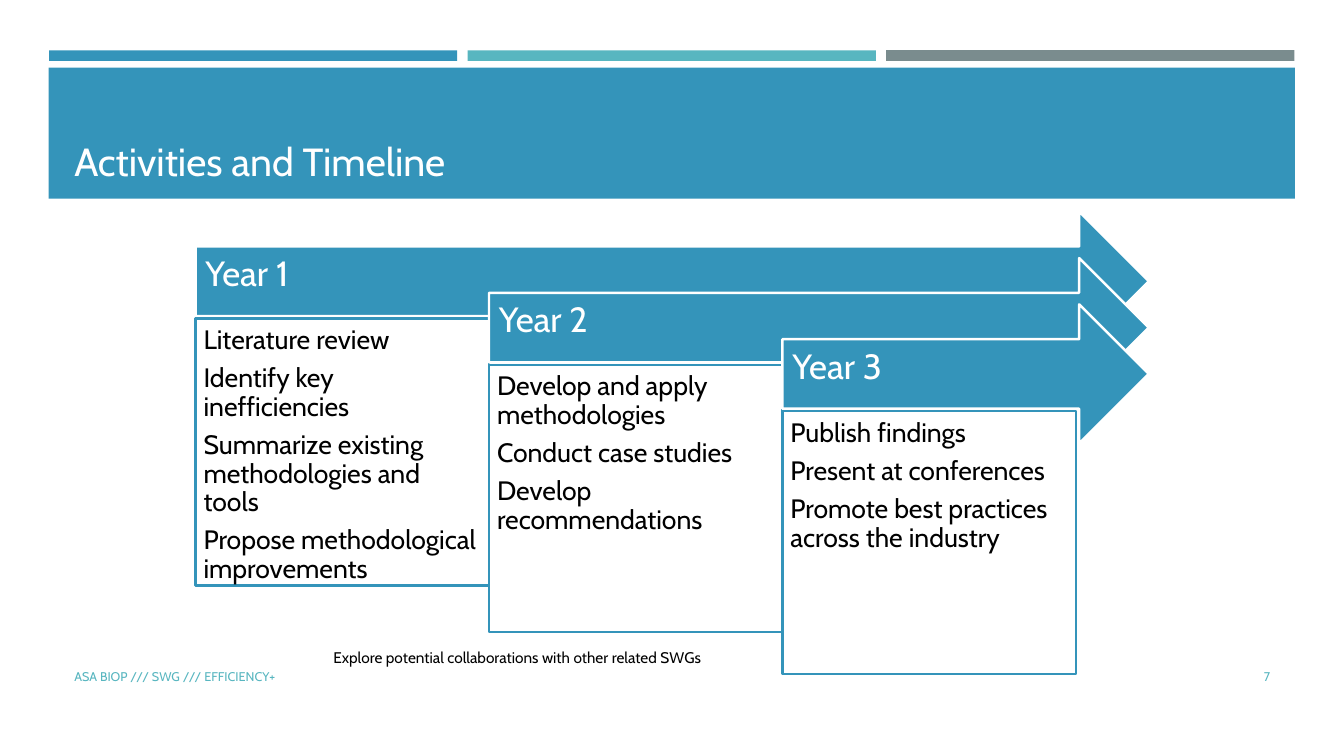
"""Build the Activities and Timeline slide with three staggered year arrows."""
from dataclasses import dataclass

from pptx import Presentation
from pptx.dml.color import RGBColor
from pptx.enum.shapes import MSO_SHAPE
from pptx.enum.text import MSO_ANCHOR, PP_ALIGN
from pptx.shapes.autoshape import Shape
from pptx.slide import Slide
from pptx.util import Pt

RECTANGLE = MSO_SHAPE.RECTANGLE
RIGHT_ARROW = MSO_SHAPE.RIGHT_ARROW
TOP, MIDDLE, BOTTOM = MSO_ANCHOR.TOP, MSO_ANCHOR.MIDDLE, MSO_ANCHOR.BOTTOM
LEFT, RIGHT = PP_ALIGN.LEFT, PP_ALIGN.RIGHT

FONT = "Cabin"
COLORS = {
    "blue": "3494BA",
    "teal": "58B6C0",
    "gray": "7A8C8E",
    "white": "FFFFFF",
    "black": "000000",
}
OUTLINE_WIDTH = 1.75
ARROW_LEFT, ARROW_TOP, ARROW_RIGHT, ARROW_HEIGHT = 139.7, 151.2, 820.6, 99.4
STEP_X, STEP_Y = 209.6, 33.1
CARD_OFFSET = 76.3


@dataclass(frozen=True)
class Box:
    left: float
    top: float
    width: float
    height: float


@dataclass(frozen=True)
class TextStyle:
    size: float
    color: str
    anchor: MSO_ANCHOR = TOP
    align: PP_ALIGN = LEFT
    insets: tuple[float, float, float, float] = (7.2, 3.6, 7.2, 3.6)
    line_spacing: float = 1.0
    space_after: float = 0


@dataclass(frozen=True)
class Bar:
    box: Box
    color: str


@dataclass(frozen=True)
class Label:
    box: Box
    text: str
    style: TextStyle


@dataclass(frozen=True)
class Year:
    title: str
    activities: tuple[str, ...]
    card_height: float


YEAR_STYLE = TextStyle(25, "white", MIDDLE, insets=(7.2, 7.2, 20, 16), line_spacing=0.9)
CARD_STYLE = TextStyle(19, "black", insets=(5.76,) * 4, line_spacing=0.9, space_after=6.65)

BARS = (
    Bar(Box(35, 36, 291.6, 7.5), "blue"),
    Bar(Box(633, 35.8, 291.6, 7.7), "gray"),
    Bar(Box(334, 36, 291.6, 7.5), "teal"),
    Bar(Box(34.8, 48.4, 890.2, 93.6), "blue"),
)
LABELS = (
    Label(Box(46, 55.4, 868.3, 79.9), "Activities and Timeline", TextStyle(28, "white", BOTTOM)),
    Label(Box(46, 468.9, 544.3, 28.8), "ASA BIOP /// SWG /// EFFICIENCY+", TextStyle(9, "teal", MIDDLE)),
    Label(Box(831.5, 468.9, 82.8, 28.8), "7", TextStyle(9, "teal", MIDDLE, RIGHT)),
)
COLLABORATION = Label(
    Box(231, 459.4, 480.2, 20.9),
    "Explore potential collaborations with other related SWGs",
    TextStyle(11, "black"),
)
YEARS = (
    Year("Year 1", (
        "Literature review",
        "Identify key inefficiencies",
        "Summarize existing methodologies and tools",
        "Propose methodological improvements",
    ), 190.8),
    Year("Year 2", (
        "Develop and apply methodologies",
        "Conduct case studies",
        "Develop recommendations",
    ), 190.8),
    Year("Year 3", (
        "Publish findings",
        "Present at conferences",
        "Promote best practices across the industry",
    ), 187.9),
)


def color_of(name: str) -> RGBColor:
    return RGBColor.from_string(COLORS[name])


def set_values(target: object, values: dict[str, object]) -> None:
    for name, value in values.items():
        setattr(target, name, value)


def write_text(shape: Shape, lines: tuple[str, ...], style: TextStyle) -> None:
    frame = shape.text_frame
    left, top, right, bottom = map(Pt, style.insets)
    set_values(frame, {
        "word_wrap": True,
        "vertical_anchor": style.anchor,
        "margin_left": left,
        "margin_top": top,
        "margin_right": right,
        "margin_bottom": bottom,
        "text": "\n".join(lines),
    })
    for paragraph in frame.paragraphs:
        set_values(paragraph, {
            "alignment": style.align,
            "line_spacing": style.line_spacing,
            "space_after": Pt(style.space_after),
        })
        font = paragraph.runs[0].font
        set_values(font, {"name": FONT, "size": Pt(style.size)})
        font.color.rgb = color_of(style.color)


def add_block(slide: Slide, kind: MSO_SHAPE, box: Box, fill: str, outline: str | None = None) -> Shape:
    shape = slide.shapes.add_shape(kind, Pt(box.left), Pt(box.top), Pt(box.width), Pt(box.height))
    shape.shadow.inherit = False
    shape.fill.solid()
    shape.fill.fore_color.rgb = color_of(fill)
    if outline:
        shape.line.color.rgb = color_of(outline)
        shape.line.width = Pt(OUTLINE_WIDTH)
    else:
        shape.line.fill.background()
    return shape


def add_label(slide: Slide, label: Label) -> None:
    box = label.box
    shape = slide.shapes.add_textbox(Pt(box.left), Pt(box.top), Pt(box.width), Pt(box.height))
    write_text(shape, (label.text,), label.style)


def add_year(slide: Slide, index: int, year: Year) -> None:
    left = ARROW_LEFT + index * STEP_X
    top = ARROW_TOP + index * STEP_Y
    arrow_box = Box(left, top, ARROW_RIGHT - left, ARROW_HEIGHT)
    card_box = Box(left, top + CARD_OFFSET, STEP_X, year.card_height)
    arrow = add_block(slide, RIGHT_ARROW, arrow_box, "blue", "white")
    write_text(arrow, (year.title,), YEAR_STYLE)
    card = add_block(slide, RECTANGLE, card_box, "white", "blue")
    write_text(card, year.activities, CARD_STYLE)


def main() -> None:
    presentation = Presentation()
    set_values(presentation, {"slide_width": Pt(960), "slide_height": Pt(540)})
    slide = presentation.slides.add_slide(presentation.slide_layouts[6])
    for bar in BARS:
        add_block(slide, RECTANGLE, bar.box, bar.color)
    for label in LABELS:
        add_label(slide, label)
    for index, year in enumerate(YEARS):
        add_year(slide, index, year)
    add_label(slide, COLLABORATION)
    presentation.save("out.pptx")


if __name__ == "__main__":
    main()
